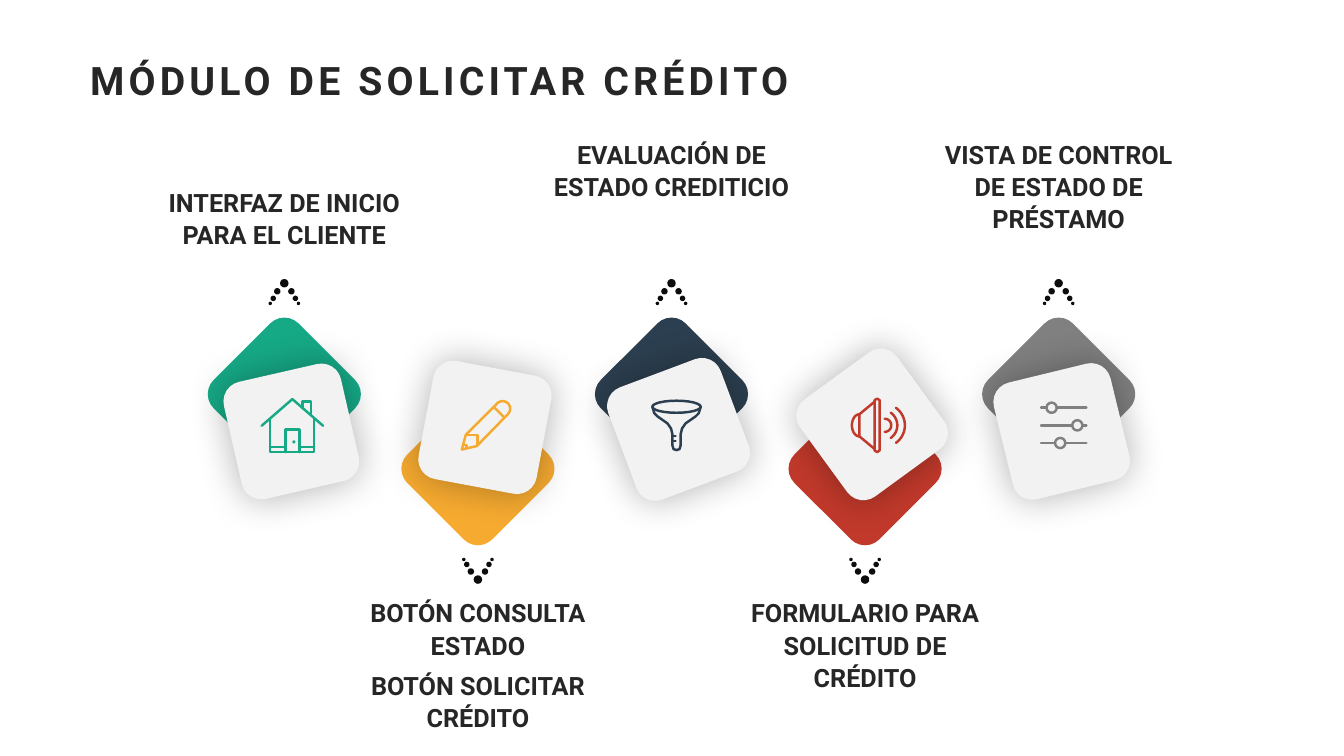
from math import cos, radians, sin

from lxml import etree
from pptx import Presentation, util as u
from pptx.dml.color import RGBColor
from pptx.enum import shapes, text
from pptx.oxml.ns import qn

INK = RGBColor(0x26, 0x26, 0x26)
DOT = RGBColor(0x0D, 0x0D, 0x0D)
CARD = RGBColor(0xF2, 0xF2, 0xF2)
GREEN = RGBColor(0x16, 0xA9, 0x86)
AMBER = RGBColor(0xF6, 0xAA, 0x30)
NAVY = RGBColor(0x2C, 0x3F, 0x50)
RED = RGBColor(0xC1, 0x39, 0x2B)
GRAY = RGBColor(0x80, 0x80, 0x80)

FONT = "Roboto"
KIND = shapes.MSO_SHAPE
FIRST, PITCH, MIDDLE = 2.82, 1.92, 4.28
TILE = 1.19
LABEL = 2.48
# size, distance aside and distance behind the tip
DOTS = [(0.07, 0, 0), (0.05, 0.07, 0.08), (0.04, 0.11, 0.15), (0.02, 0.14, 0.2)]


def arc(x, y, rx, ry, start=0, end=360):
    """Points of an elliptic arc, clockwise in degrees from the right."""
    turns = [radians(start + (end - start) * n / 24) for n in range(25)]
    return [(x + rx * cos(t), y + ry * sin(t)) for t in turns]


# Icons are strokes in hundredths of an inch around their centre.
def house():
    return [
        [(-30.5, 0.5), (0, -26), (30.5, 0.5)],
        [(-22, -6), (-22, 26.5), (21.5, 26.5), (21.5, -6)],
        [(-7, 26.5), (-7, 4), (7, 4), (7, 26.5)],
        [(-22, 21.5), (-7, 21.5)],
        [(7, 21.5), (21.5, 21.5)],
        [(10, -17), (10, -23.5), (18.5, -23.5), (18.5, -10)],
        arc(1.5, 16.5, 0.3, 0.3),
    ]


def pencil():
    end = arc(16.5, -16.5, 7.5, 7.5, 225, 405)
    tip = (-24, 24)
    return [
        [tip, (-20, 9.5)] + end + [(-9, 20.5), tip],
        [(8, -18), (18, -8)],
        [(-20, 9.5), (-8.5, 9.5), (-8.5, 20)],
        [(-22, 19.5), (-19.5, 19.5), (-19.5, 22)],
    ]


def funnel():
    side = [(24, -18.5), (22, -12), (19, -9), (9, -2), (5.5, 3), (4, 9),
            (4, 20), (3, 23.5), (0, 24.5)]
    left = [(-x, y) for x, y in side]
    return [
        arc(0, -18.5, 24, 6),
        left + side[::-1],
        [(-4, 10.5), (-1, 10.5)],
        [(-4, 15.5), (-1, 15.5)],
    ]


def horn():
    return [
        [(-3.5, -25), (-1, -26.5), (1.5, -25), (1.5, 25), (-1, 26.5),
         (-3.5, 25), (-3.5, -25)],
        [(-3.5, -23.5), (-18.5, -11), (-18.5, 11), (-3.5, 23.5)],
        arc(-18.5, 0, 7.5, 11, 90, 270),
        arc(6.5, 0, 6.5, 6.5, -90, 90),
        arc(3.7, 0, 15.3, 15.3, -55, 55),
        arc(5, 0, 21.5, 21.5, -54, 54),
    ]


def sliders():
    rows = []
    for knob, y in [(-12, -17.5), (13.5, 0), (-3.5, 17.5)]:
        rows += [[(-22.5, y), (knob - 5, y)], arc(knob, y, 5, 5),
                 [(knob + 5, y), (22.5, y)]]
    return rows


# up or down, colour, label top and height, label lines,
# card (dx, y, angle), icon and its dx
STEPS = [
    (-1, GREEN, 1.84, 0.85, ["INTERFAZ DE INICIO PARA EL CLIENTE"],
     (0.07, 4.28, 77.1), house, 0.08),
    (1, AMBER, 5.91, 1.38, ["BOTÓN CONSULTA ESTADO", "BOTÓN SOLICITAR CRÉDITO"],
     (0.07, 4.24, 10.6), pencil, 0.08),
    (-1, NAVY, 1.36, 1.38, ["EVALUACIÓN DE ESTADO CREDITICIO"],
     (0.07, 4.26, 69.4), funnel, 0.05),
    (1, RED, 5.91, 1.18, ["FORMULARIO PARA SOLICITUD DE CRÉDITO"],
     (0.07, 4.21, 323.9), horn, 0.13),
    (-1, GRAY, 1.36, 1.38, ["VISTA DE CONTROL DE ESTADO DE PRÉSTAMO"],
     (0.03, 4.28, 76.3), sliders, 0.05),
]


def style(para, size, lead):
    para.alignment = text.PP_ALIGN.CENTER
    para.line_spacing = u.Pt(lead)
    for run in para.runs:
        font = run.font
        font.name, font.size, font.bold = FONT, u.Pt(size), True
        font.color.rgb = INK


def add_title(slide, x, y, w, h):
    title = slide.shapes.title
    title.left, title.top, title.width, title.height = map(u.Inches, (x, y, w, h))
    frame = title.text_frame
    frame.text = "MÓDULO DE SOLICITAR CRÉDITO"
    frame.vertical_anchor = text.MSO_ANCHOR.TOP
    para = frame.paragraphs[0]
    style(para, 28, 25)
    para.runs[0].font._element.set("spc", "300")


def add_label(slide, x, y, h, lines):
    box = slide.shapes.add_textbox(*map(u.Inches, (x - LABEL / 2, y, LABEL, h)))
    frame = box.text_frame
    frame.word_wrap = True
    frame.margin_left = frame.margin_right = 0
    frame.margin_top = frame.margin_bottom = 0
    frame.text = "\n".join(lines)
    for para in frame.paragraphs:
        style(para, 18, 23)
        para.space_before = u.Pt(6)


def add_mark(slide, kind, x, y, size, color, angle=0):
    """Add a square shape centred on x, y."""
    mark = slide.shapes.add_shape(
        kind, *map(u.Inches, (x - size / 2, y - size / 2, size, size)))
    mark.rotation = angle
    mark.shadow.inherit = False
    mark.fill.solid()
    mark.fill.fore_color.rgb = color
    mark.line.fill.background()
    return mark


def add_glow(card):
    effects = card._element.spPr.find(qn("a:effectLst"))
    glow = etree.SubElement(effects, qn("a:outerShdw"), blurRad=str(u.Pt(27)),
                            dist="0", dir="0", algn="ctr", rotWithShape="0")
    color = etree.SubElement(glow, qn("a:srgbClr"), val="000000")
    etree.SubElement(color, qn("a:alpha"), val="29000")


def add_dots(slide, x, tip, way):
    for size, dx, dy in DOTS:
        for side in sorted({-dx, dx}):
            dot = add_mark(slide, KIND.OVAL, x + side, tip - way * dy, size, DOT)
            dot.line.color.rgb = DOT
            dot.line.width = u.Pt(1)


def add_icon(slide, x, y, strokes, color):
    pen = None
    for stroke in strokes:
        pts = [(px * 100, py * 100) for px, py in stroke]
        if pen is None:
            pen = slide.shapes.build_freeform(*pts[0], scale=91.44)
        else:
            pen.move_to(*pts[0])
        pen.add_line_segments(pts[1:], close=False)
    icon = pen.convert_to_shape(u.Inches(x), u.Inches(y))
    icon.shadow.inherit = False
    icon.fill.background()
    icon.line.color.rgb = color
    icon.line.width = u.Pt(1.75)
    line = icon.line._get_or_add_ln()
    line.set("cap", "rnd")
    etree.SubElement(line, qn("a:round"))


def add_step(slide, x, step):
    way, color, top, height, lines, (dx, y, angle), icon, shift = step
    add_label(slide, x, top, height, lines)
    add_dots(slide, x, MIDDLE + way * 1.47, way)
    add_mark(slide, KIND.ROUNDED_RECTANGLE, x, MIDDLE + way * 0.37, TILE, color, 45)
    add_glow(add_mark(slide, KIND.ROUNDED_RECTANGLE, x + dx, y, TILE, CARD, angle))
    add_icon(slide, x + shift, 4.22, icon(), color)


def main():
    deck = Presentation()
    deck.slide_width, deck.slide_height = u.Inches(13.33), u.Inches(7.5)
    slide = deck.slides.add_slide(deck.slide_layouts[5])
    add_title(slide, 0.38, 0.63, 7.96, 0.45)
    for n, step in enumerate(STEPS):
        add_step(slide, FIRST + n * PITCH, step)
    deck.save("out.pptx")


if __name__ == "__main__":
    main()
